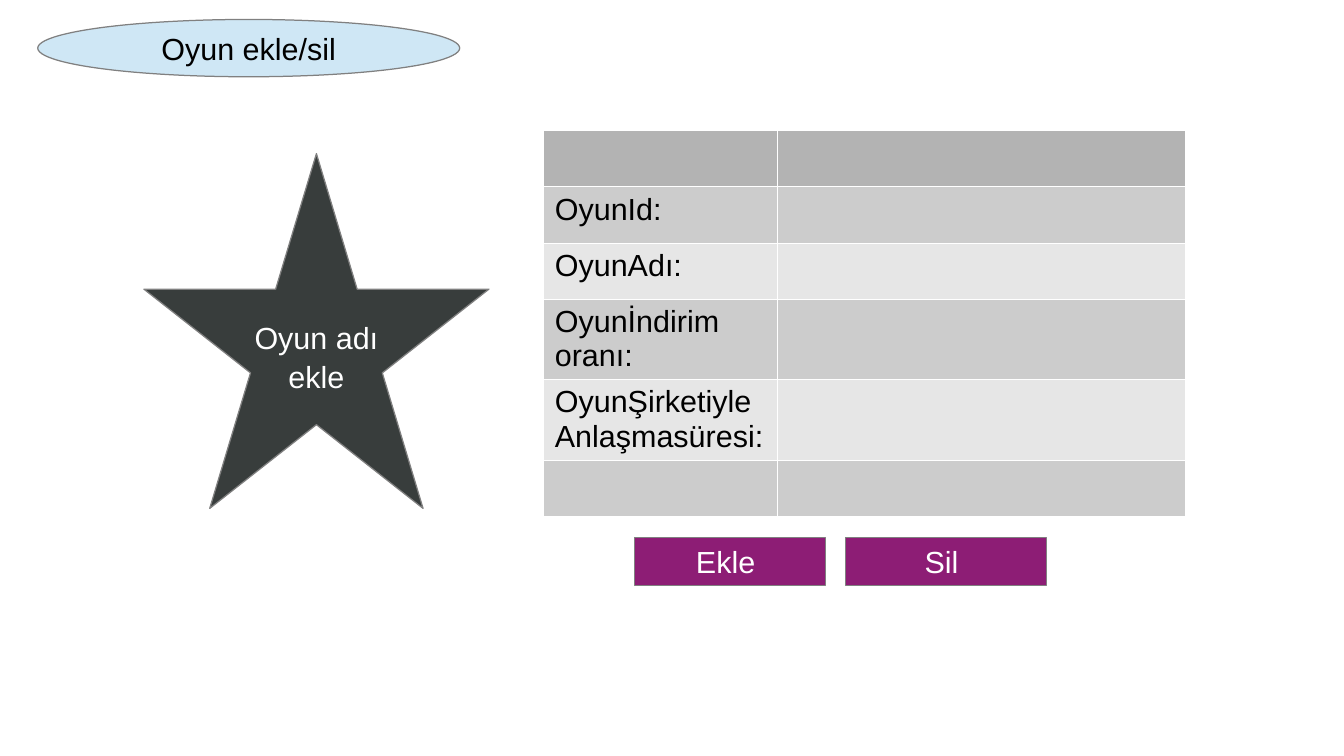
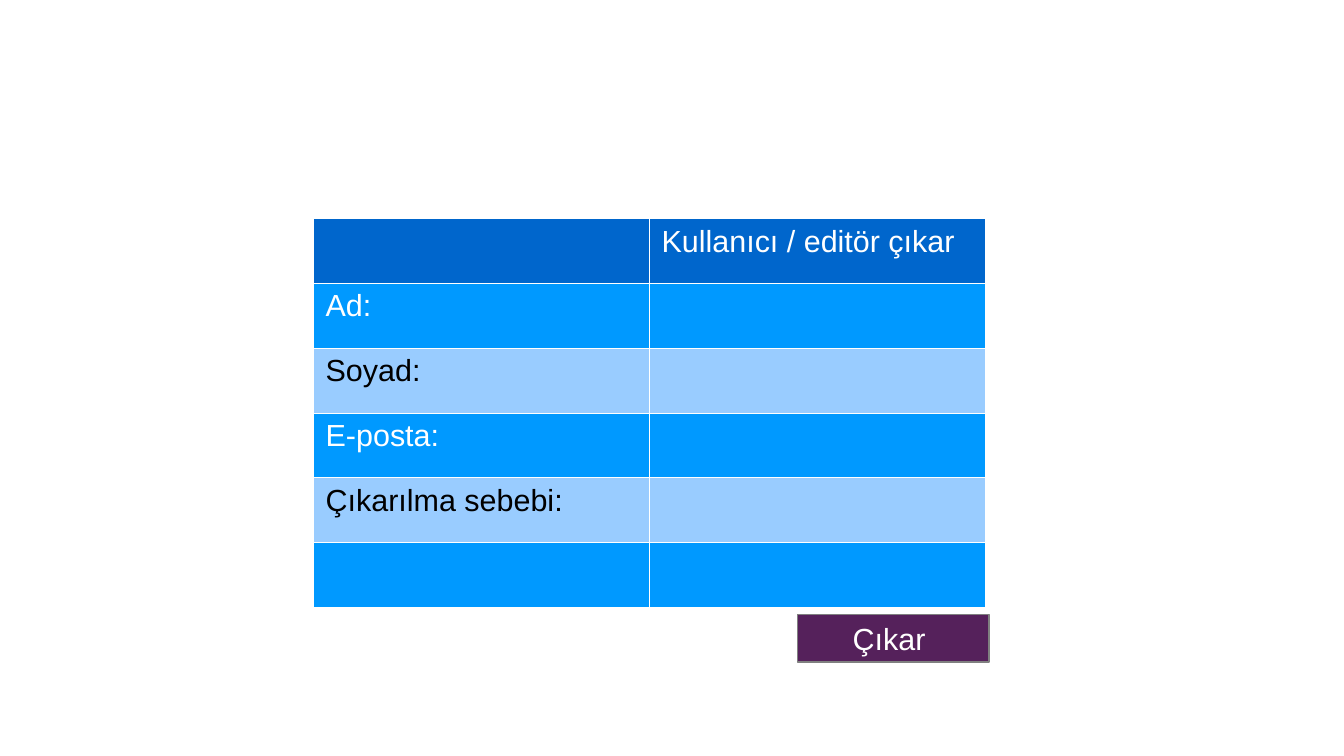
from lxml import etree
from pptx import Presentation
from pptx.dml.color import RGBColor
from pptx.enum.shapes import MSO_SHAPE
from pptx.enum.text import MSO_ANCHOR, PP_ALIGN
from pptx.oxml.ns import qn
from pptx.util import Inches, Pt

ELLIPSE, STAR, RECTANGLE = MSO_SHAPE.OVAL, MSO_SHAPE.STAR_5_POINT, MSO_SHAPE.RECTANGLE
CENTER, LEFT, MIDDLE = PP_ALIGN.CENTER, PP_ALIGN.LEFT, MSO_ANCHOR.MIDDLE

SLIDE_WIDTH, SLIDE_HEIGHT = 11.02, 6.2
BUTTON_WIDTH, BUTTON_HEIGHT = 1.57, 0.39
FONT, TEXT_SIZE = "Arial", 18
BORDER_WIDTH = 0.06
BLANK_LAYOUT = 6

COLORS = {
    "white": "FFFFFF", "black": "000000", "outline": "808080",
    "charcoal": "383D3C", "pale_blue": "CFE7F5",
    "magenta": "8D1D75", "purple": "55215B",
    "gray_header": "B3B3B3", "gray_dark": "CCCCCC", "gray_light": "E6E6E6",
    "blue_header": "0066CC", "blue_dark": "0099FF", "blue_light": "99CCFF",
}

# Table colours as (fill, text): header row, then alternating body rows
GRAY_THEME = {"header": ("gray_header", "black"),
              "bands": [("gray_dark", "black"), ("gray_light", "black")]}
BLUE_THEME = {"header": ("blue_header", "white"),
              "bands": [("blue_dark", "white"), ("blue_light", "black")]}

# Content: shapes are (kind, box, fill, text colour, lines)
SLIDES = [
    {
        "table": {
            "at": (4.45, 1.07), "columns": [1.92, 3.35],
            "heights": [0.46, 0.46, 0.46, 0.66, 0.66, 0.46], "theme": GRAY_THEME,
            "rows": [([], []), (["OyunId:"], []), (["OyunAdı:"], []),
                     (["Oyunİndirim oranı:"], []),
                     (["OyunŞirketiyle", "Anlaşmasüresi:"], []), ([], [])],
        },
        "shapes": [
            (STAR, (1.18, 1.26, 2.83, 2.91), "charcoal", "white", ["Oyun adı", "ekle"]),
            (ELLIPSE, (0.31, 0.16, 3.46, 0.47), "pale_blue", "black", ["Oyun ekle/sil"]),
            (RECTANGLE, (5.2, 4.41, BUTTON_WIDTH, BUTTON_HEIGHT), "magenta", "white", ["Ekle "]),
            (RECTANGLE, (6.93, 4.41, 1.65, BUTTON_HEIGHT), "magenta", "white", ["Sil "]),
        ],
    },
    {
        "table": {
            "at": (2.57, 1.79), "columns": [2.755] * 2,
            "heights": [3.19 / 6] * 6, "theme": BLUE_THEME,
            "rows": [([], ["Kullanıcı / editör çıkar"]), (["Ad:"], []), (["Soyad:"], []),
                     (["E-posta:"], []), (["Çıkarılma sebebi:"], []), ([], [])],
        },
        "shapes": [
            (RECTANGLE, (6.54, 5.04, BUTTON_WIDTH, BUTTON_HEIGHT), "purple", "white", ["Çıkar "]),
        ],
    },
]


def rgb(name):
    return RGBColor.from_string(COLORS[name])


def write_text(text_frame, lines, color="black", align=LEFT, gap=0):
    """Write one paragraph per line, with a gap in points between them."""
    for index, line in enumerate(lines):
        paragraph = text_frame.paragraphs[0] if index == 0 else text_frame.add_paragraph()
        paragraph.alignment = align
        if index and gap:
            paragraph.space_before = Pt(gap)
        run = paragraph.add_run()
        run.text = line
        run.font.name, run.font.size = FONT, Pt(TEXT_SIZE)
        run.font.color.rgb = rgb(color)


def add_label(slide, kind, box, fill, color, lines):
    shape = slide.shapes.add_shape(kind, *(Inches(length) for length in box))
    shape.shadow.inherit = False
    shape.fill.solid()
    shape.fill.fore_color.rgb = rgb(fill)
    shape.line.color.rgb = rgb("outline")
    shape.line.width = Pt(0)
    shape.text_frame.word_wrap = False
    shape.text_frame.vertical_anchor = MIDDLE
    write_text(shape.text_frame, lines, color=color, align=CENTER, gap=1.7)


def add_borders(cell):
    properties = cell._tc.get_or_add_tcPr()
    for index, side in enumerate(("lnL", "lnR", "lnT", "lnB")):
        line = etree.Element(qn(f"a:{side}"), w=str(Pt(BORDER_WIDTH)))
        fill = etree.SubElement(line, qn("a:solidFill"))
        etree.SubElement(fill, qn("a:srgbClr"), val=COLORS["white"])
        properties.insert(index, line)


def add_form(slide, form):
    rows, columns, heights = form["rows"], form["columns"], form["heights"]
    lengths = (*form["at"], sum(columns), sum(heights))
    table = slide.shapes.add_table(len(rows), len(columns),
                                   *(Inches(length) for length in lengths)).table
    table.first_row = table.horz_banding = False
    for column, width in zip(table.columns, columns):
        column.width = Inches(width)
    bands = form["theme"]["bands"]
    for index, (row, height, texts) in enumerate(zip(table.rows, heights, rows)):
        row.height = Inches(height)
        fill, color = bands[(index - 1) % 2] if index else form["theme"]["header"]
        for cell, lines in zip(row.cells, texts):
            cell.fill.solid()
            cell.fill.fore_color.rgb = rgb(fill)
            add_borders(cell)
            write_text(cell.text_frame, lines, color=color)


def main():
    presentation = Presentation()
    presentation.slide_width = Inches(SLIDE_WIDTH)
    presentation.slide_height = Inches(SLIDE_HEIGHT)
    for content in SLIDES:
        slide = presentation.slides.add_slide(presentation.slide_layouts[BLANK_LAYOUT])
        add_form(slide, content["table"])
        for label in content["shapes"]:
            add_label(slide, *label)
    presentation.save("out.pptx")


if __name__ == "__main__":
    main()
